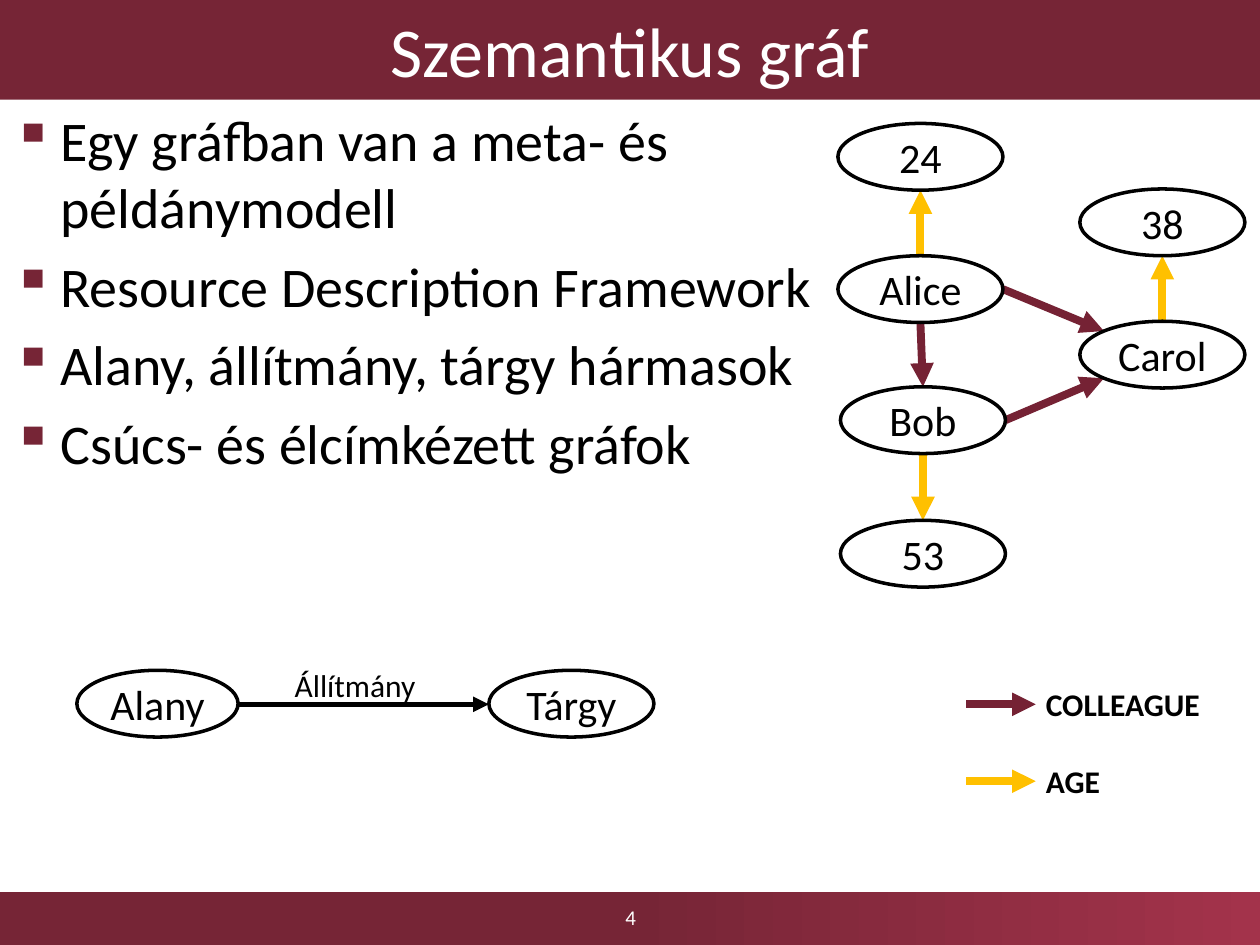
from lxml import etree
from pptx import Presentation
from pptx.dml.color import RGBColor
from pptx.enum.shapes import MSO_CONNECTOR as Line, MSO_SHAPE as Shape
from pptx.enum.text import MSO_ANCHOR as Anchor, PP_ALIGN as Align
from pptx.oxml.ns import qn
from pptx.util import Inches, Pt

WINE, ROSE, RED, GOLD = "762536", "A3334B", "752234", "FFC000"
BLACK, WHITE = "000000", "FFFFFF"
WIDE, HIGH = 1.31, 0.53
DIAG = 0.146  # where an ellipse's 45° point falls inside its box

# name: left, top
NODES = {
    "Alice": (6.65, 2.03), "Bob": (6.67, 3.07), "Carol": (8.57, 2.55),
    "24": (6.65, 0.98), "53": (6.67, 4.13), "38": (8.57, 1.5),
}
TOP, BASE, RIGHT = (0.5, 0), (0.5, 1), (1, 0.5)
EDGES = [
    ("Alice", BASE, "Bob", TOP, RED),
    ("Alice", RIGHT, "Carol", (DIAG, DIAG), RED),
    ("Bob", RIGHT, "Carol", (DIAG, 1 - DIAG), RED),
    ("Alice", TOP, "24", BASE, GOLD),
    ("Carol", TOP, "38", BASE, GOLD),
    ("Bob", BASE, "53", TOP, GOLD),
]
POINTS = [
    "Egy gráfban van a meta- és példánymodell",
    "Resource Description Framework",
    "Alany, állítmány, tárgy hármasok",
    "Csúcs- és élcímkézett gráfok",
]
LEGEND = [("COLLEAGUE", RED, 5.59), ("AGE", GOLD, 6.2)]


def color(code):
    return RGBColor.from_string(code)


def spot(name, part):
    """Point at a fraction of the node's box."""
    left, top = NODES[name]
    return left + WIDE * part[0], top + HIGH * part[1]


class Deck:
    font = "Calibri"

    def __init__(self):
        self.prs = Presentation()
        self.prs.slide_width, self.prs.slide_height = Inches(10), Inches(7.5)
        self.slide = self.prs.slides.add_slide(self.prs.slide_layouts[6])
        self.shapes = self.slide.shapes

    def run(self, para, words, size, code=BLACK, bold=False):
        run = para.add_run()
        run.text = words
        font = run.font
        font.name, font.size, font.bold = self.font, Pt(size), bold
        font.color.rgb = color(code)

    def shape(self, kind, box, fill):
        shape = self.shapes.add_shape(kind, *map(Inches, box))
        shape.shadow.inherit = False
        shape.fill.solid()
        shape.fill.fore_color.rgb = color(fill)
        shape.line.fill.background()
        return shape

    def label(self, shape, words, size, code=BLACK, align=Align.CENTER,
              anchor=Anchor.MIDDLE, inset=None, bold=False):
        frame = shape.text_frame
        frame.word_wrap = True
        frame.vertical_anchor = anchor
        if inset is not None:
            frame.margin_left = frame.margin_right = Inches(inset)
            frame.margin_top = frame.margin_bottom = Inches(inset)
        para = frame.paragraphs[0]
        para.alignment = align
        self.run(para, words, size, code, bold)

    def text(self, box, words, size, **look):
        self.label(self.shapes.add_textbox(*map(Inches, box)),
                   words, size, **look)

    def fade(self, box, first, last):
        """Bar that stays flat for its left half, then shifts colour."""
        fill = self.shape(Shape.RECTANGLE, box, first).fill
        fill.gradient()
        fill.gradient_angle = 0
        for stop, code, place in zip(fill.gradient_stops,
                                     (first, last), (0.5, 1)):
            stop.color.rgb = color(code)
            stop.position = place

    def oval(self, words, left, top, width=WIDE):
        oval = self.shape(Shape.OVAL, (left, top, width, HIGH), WHITE)
        oval.line.color.rgb = color(BLACK)
        oval.line.width = Pt(2)
        self.label(oval, words, 24, inset=0)

    def arrow(self, start, end, code, width=4.5):
        line = self.shapes.add_connector(
            Line.STRAIGHT, *map(Inches, (*start, *end)))
        line.line.color.rgb = color(code)
        line.line.width = Pt(width)
        props = line.line._get_or_add_ln()
        etree.SubElement(props, qn("a:tailEnd"), type="triangle")
        etree.SubElement(line._element.spPr, qn("a:effectLst"))

    def list(self, box, items, size):
        frame = self.shapes.add_textbox(*map(Inches, box)).text_frame
        frame.word_wrap = True
        for i, item in enumerate(items):
            para = frame.add_paragraph() if i else frame.paragraphs[0]
            props = para._p.get_or_add_pPr()
            props.set("marL", str(Inches(0.38)))
            props.set("indent", str(Inches(-0.38)))
            tint = etree.SubElement(props, qn("a:buClr"))
            etree.SubElement(tint, qn("a:srgbClr"), val=WINE)
            etree.SubElement(props, qn("a:buChar"), char="▪")
            if i:
                para.space_before = Pt(size * 0.2)
            self.run(para, item, size)


def main():
    deck = Deck()
    deck.fade((0, 7.08, 10, 0.42), WINE, ROSE)
    deck.text((3.88, 7.08, 2.25, 0.4), "4", 12, code=WHITE)
    title = deck.shape(Shape.RECTANGLE, (0, 0, 10, 0.79), WINE)
    deck.label(title, "Szemantikus gráf", 40, WHITE)
    deck.list((0, 0.79, 6.75, 3.16), POINTS, 32)

    for source, out, target, into, code in EDGES:
        deck.arrow(spot(source, out), spot(target, into), code)
    for name, place in NODES.items():
        deck.oval(name, *place)

    for words, code, mid in LEGEND:
        deck.arrow((7.67, mid), (8.22, mid), code)
        deck.text((8.3, mid - 0.15, 1.48, 0.3), words, 18, inset=0,
                  align=Align.LEFT, anchor=Anchor.TOP, bold=True)

    deck.oval("Alany", 0.61, 5.32, 1.28)
    deck.oval("Tárgy", 3.88, 5.32)
    deck.arrow((1.89, 5.59), (3.88, 5.59), BLACK, 3)
    deck.text((2.24, 5.24, 1.63, 0.4), "Állítmány", 18,
              align=Align.LEFT, anchor=Anchor.TOP)
    deck.prs.save("out.pptx")


if __name__ == "__main__":
    main()
